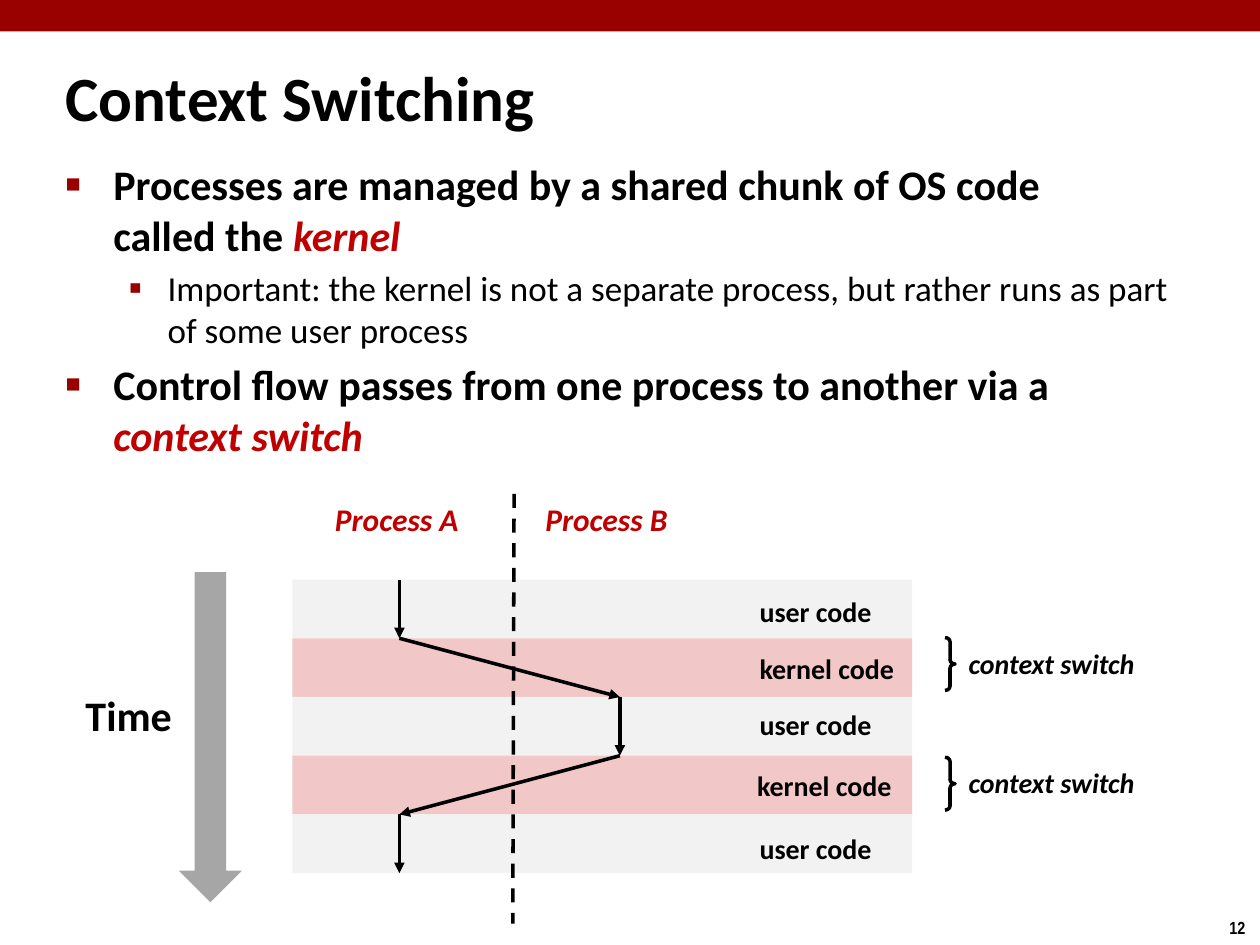
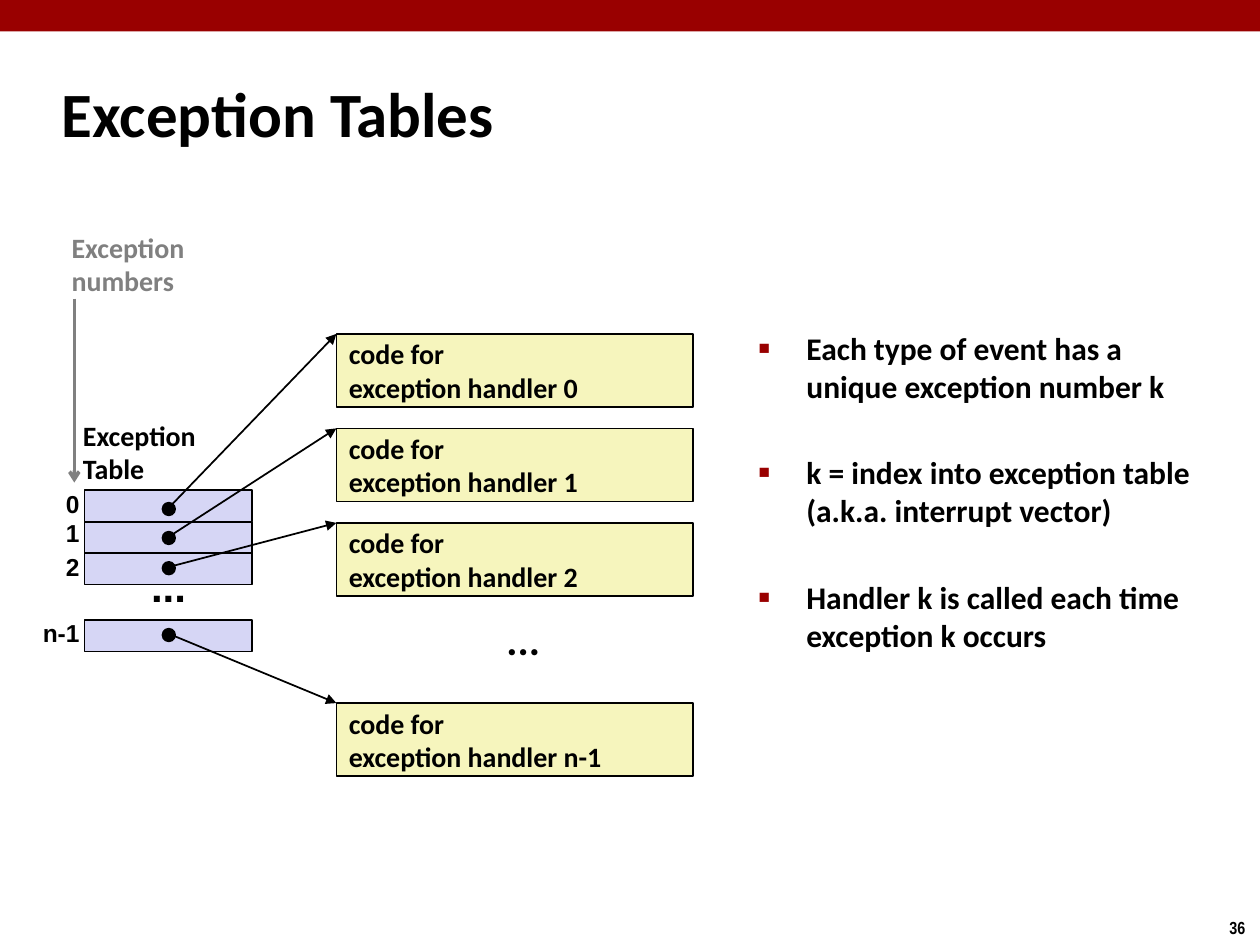
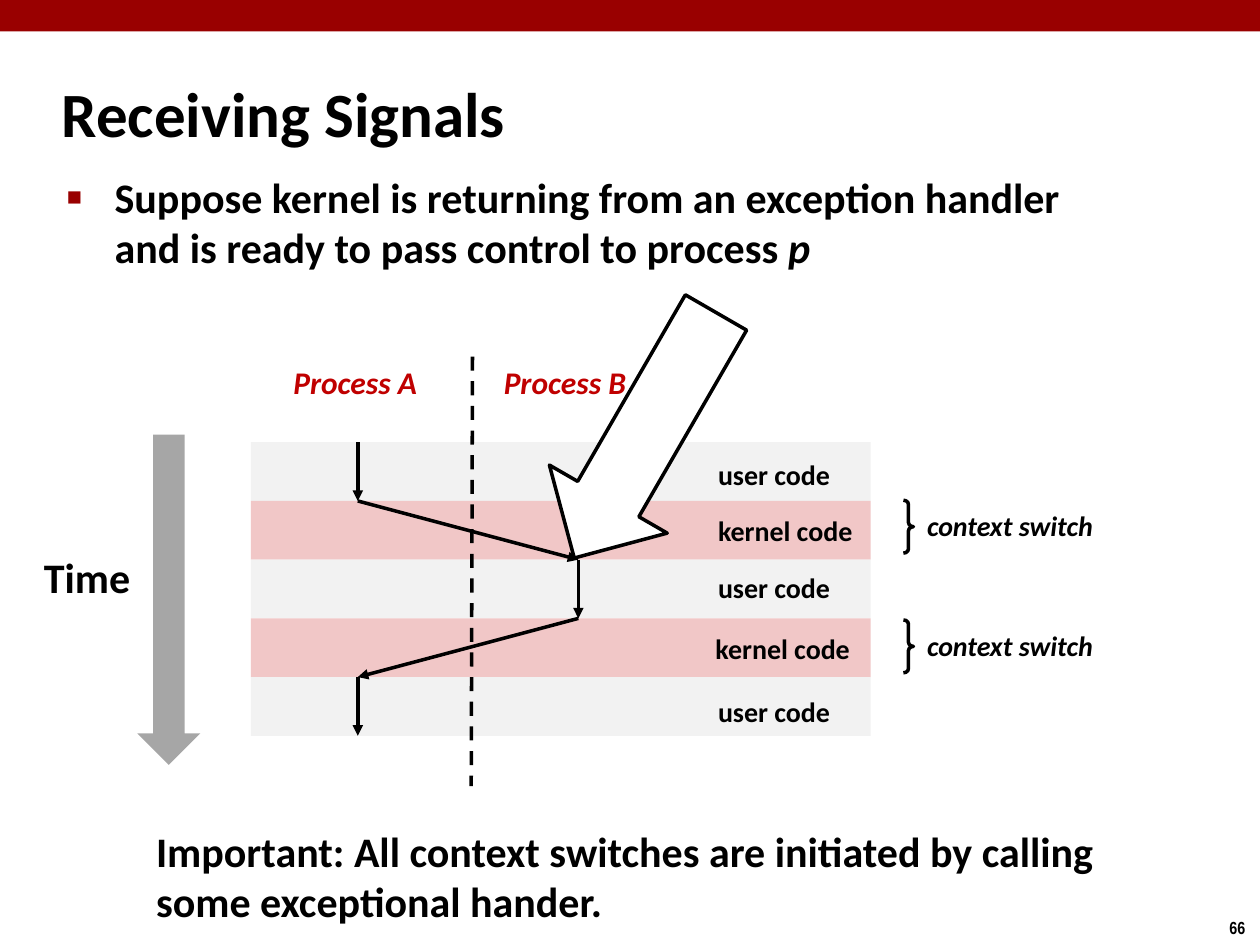
"""Build three slides on context switching, exception tables and signals."""
from dataclasses import dataclass
from itertools import pairwise

from lxml.etree import SubElement
from pptx import Presentation
from pptx.dml.color import RGBColor
from pptx.enum.dml import MSO_LINE
from pptx.enum.shapes import MSO_CONNECTOR, MSO_SHAPE as Preset
from pptx.enum.text import MSO_ANCHOR as Anchor, MSO_AUTO_SIZE, PP_ALIGN as Align
from pptx.oxml.ns import qn
from pptx.util import Inches, Pt

BLACK = RGBColor(0x00, 0x00, 0x00)
WHITE = RGBColor(0xFF, 0xFF, 0xFF)
CRIMSON = RGBColor(0x99, 0x00, 0x00)
RED = RGBColor(0xC0, 0x00, 0x00)
PINK = RGBColor(0xF1, 0xC7, 0xC7)
PALE_GRAY = RGBColor(0xF2, 0xF2, 0xF2)
TIME_GRAY = RGBColor(0xA6, 0xA6, 0xA6)
MID_GRAY = RGBColor(0x80, 0x80, 0x80)
LAVENDER = RGBColor(0xD6, 0xD6, 0xF5)
YELLOW = RGBColor(0xF6, 0xF5, 0xBD)

BODY_FONT = "Calibri"
INDEX_FONT = "Arial"
NUMBER_FONT = "Arial Narrow"


@dataclass
class Emphasis:
    text: str
    color: RGBColor = BLACK


@dataclass
class Item:
    runs: list
    level: int = 0


class Deck:
    def __init__(self):
        self.presentation = Presentation()
        self.presentation.slide_width = Inches(10)
        self.presentation.slide_height = Inches(7.5)
        self.slide = None

    def start_slide(self, heading, number, heading_box=(0.39, 0.48, 8.3, 0.83)):
        self.slide = self.presentation.slides.add_slide(self.presentation.slide_layouts[1])
        self.shape(Preset.RECTANGLE, 0, 0, 10, 0.25, CRIMSON)
        self.text(number, 9.66, 7.23, 0.34, 0.27, 10, font=NUMBER_FONT)
        title = self.slide.shapes.title
        self.place(title, *heading_box)
        frame = title.text_frame
        frame.auto_size = MSO_AUTO_SIZE.NONE
        frame.vertical_anchor = Anchor.MIDDLE
        frame.paragraphs[0].alignment = Align.LEFT
        self.add_run(frame.paragraphs[0], heading, 36)

    def place(self, shape, left, top, width, height):
        shape.left, shape.top = Inches(left), Inches(top)
        shape.width, shape.height = Inches(width), Inches(height)

    def add_run(self, paragraph, text, size, color=BLACK, bold=True, italic=False, font=BODY_FONT):
        run = paragraph.add_run()
        run.text = text
        run.font.name, run.font.size = font, Pt(size)
        run.font.bold, run.font.italic = bold, italic
        run.font.color.rgb = color

    def fill_frame(self, frame, text, size, align=Align.LEFT, **style):
        for position, line in enumerate(text.split("\n")):
            paragraph = frame.add_paragraph() if position else frame.paragraphs[0]
            paragraph.alignment = align
            self.add_run(paragraph, line, size, **style)

    def bullets(self, items, box, size=24, gap=None):
        body = self.slide.placeholders[1]
        self.place(body, *box)
        frame = body.text_frame
        frame.auto_size = MSO_AUTO_SIZE.NONE
        for position, item in enumerate(items):
            paragraph = frame.add_paragraph() if position else frame.paragraphs[0]
            paragraph.level = item.level
            item_size = size - 4 * item.level
            self.bullet(paragraph, item.level)
            paragraph.space_before = Pt((gap or 0.2 * item_size) if position else 0)
            for part in item.runs:
                if isinstance(part, Emphasis):
                    self.add_run(paragraph, part.text, item_size, part.color, italic=True)
                    continue
                for row, line in enumerate(part.split("\n")):
                    if row:
                        paragraph.add_line_break()
                    self.add_run(paragraph, line, item_size, bold=item.level == 0)

    def bullet(self, paragraph, level):
        margin, hang, mark, percent = [(0.38, 0.38, "■", 60), (0.81, 0.31, "▪", 110)][level]
        properties = paragraph._p.get_or_add_pPr()
        properties.set("marL", str(Inches(margin)))
        properties.set("indent", str(-Inches(hang)))
        color = SubElement(properties, qn("a:buClr"))
        SubElement(color, qn("a:srgbClr"), val=str(CRIMSON))
        SubElement(properties, qn("a:buSzPct"), val=str(percent * 1000))
        SubElement(properties, qn("a:buFont"), typeface=INDEX_FONT)
        SubElement(properties, qn("a:buChar"), char=mark)

    def text(self, text, left, top, width, height, size, wrap=False, anchor=Anchor.TOP, **style):
        box = self.slide.shapes.add_textbox(
            Inches(left), Inches(top), Inches(width), Inches(height))
        box.text_frame.word_wrap = wrap
        box.text_frame.vertical_anchor = anchor
        self.fill_frame(box.text_frame, text, size, **style)

    def shape(self, preset, left, top, width, height, fill=None, line_width=0):
        shape = self.slide.shapes.add_shape(
            preset, Inches(left), Inches(top), Inches(width), Inches(height))
        shape.shadow.inherit = False
        if fill is None:
            shape.fill.background()
        else:
            shape.fill.solid()
            shape.fill.fore_color.rgb = fill
        if line_width:
            shape.line.color.rgb = BLACK
            shape.line.width = Pt(line_width)
        else:
            shape.line.fill.background()
        return shape

    def line(self, start, end, width=2, color=BLACK, head="triangle", dashed=False):
        connector = self.slide.shapes.add_connector(
            MSO_CONNECTOR.STRAIGHT, *map(Inches, start), *map(Inches, end))
        connector.line.color.rgb = color
        connector.line.width = Pt(width)
        if dashed:
            connector.line.dash_style = MSO_LINE.DASH
        properties = connector._element.spPr
        if head:
            SubElement(properties.find(qn("a:ln")), qn("a:tailEnd"), type=head)
        SubElement(properties, qn("a:effectLst"))

    def process_diagram(self, left, top):
        band = 2.33 / 5
        label_offsets = [(3.61, 0.07), (3.61, 0.52), (3.61, 0.97), (3.59, 1.45), (3.61, 1.95)]
        for row in range(5):
            self.shape(Preset.RECTANGLE, left, top + row * band, 4.92, band,
                       PINK if row % 2 else PALE_GRAY)
        for process, offset in (("Process A", 0.24), ("Process B", 1.91)):
            self.text(process, left + offset, top - 0.68, 1.2, 0.4, 18, color=RED, italic=True)
        self.line((left + 1.76, top - 0.68), (left + 1.75, top + 2.73), head=None, dashed=True)
        for row, (across, down) in enumerate(label_offsets):
            self.text("kernel code" if row % 2 else "user code",
                      left + across, top + down, 1.28, 0.37, 16)
        for down in (0.46, 1.41):
            brace = self.shape(Preset.RIGHT_BRACE, left + 5.18, top + down, 0.08, 0.42,
                               line_width=2)
            brace.adjustments[0] = 0.42
            self.text("context switch", left + 5.27, top + down + 0.02, 1.54, 0.37, 16,
                      italic=True)
        self.text("Time", left - 1.74, top + 0.82, 0.89, 0.5, 24)
        self.shape(Preset.DOWN_ARROW, left - 0.9, top - 0.06, 0.5, 2.62, TIME_GRAY)
        lane_a, lane_b = left + 0.85, left + 2.6
        lanes = [lane_a, lane_a, lane_b, lane_b, lane_a, lane_a]
        for start, end in pairwise((lane, top + row * band) for row, lane in enumerate(lanes)):
            self.line(start, end)


def context_switching(deck):
    deck.start_slide("Context Switching", "12", (0.42, 0.45, 6.39, 0.63))
    deck.bullets([
        Item(["Processes are managed by a shared chunk of OS code\ncalled the ",
              Emphasis("kernel", RED)]),
        Item(["Important: the kernel is not a separate process, but rather runs as part "
              "of some user process"], level=1),
        Item(["Control flow passes from one process to another via a ",
              Emphasis("context switch", RED)]),
    ], (0.42, 1.21, 9.07, 2.79))
    deck.process_diagram(2.32, 4.6)


def exception_tables(deck):
    deck.start_slide("Exception Tables", "36")
    deck.bullets([
        Item(["Each type of event has a\nunique exception number k"]),
        Item(["k = index into exception table\n(a.k.a. interrupt vector)"]),
        Item(["Handler k is called each time\nexception k occurs"]),
    ], (5.92, 2.56, 3.92, 2.83), size=18, gap=28)
    entries = [
        ("0", 3.89, 3.83, 3.99, 2.65),
        ("1", 4.14, 4.06, 4.22, 3.4),
        ("2", 4.39, 4.33, 4.46, 4.15),
        ("n-1", 4.92, 4.86, 4.99, 5.58),
    ]
    for index, entry_top, index_top, dot_top, handler_top in entries:
        deck.shape(Preset.RECTANGLE, 0.67, entry_top, 1.33, 0.25, LAVENDER, 1)
        deck.text(index, 0.24, index_top, 0.49, 0.33, 14, anchor=Anchor.MIDDLE,
                  align=Align.RIGHT, font=INDEX_FONT)
        deck.shape(Preset.OVAL, 1.29, dot_top, 0.1, 0.1, BLACK, 1)
        handler = deck.shape(Preset.RECTANGLE, 2.67, handler_top, 2.83, 0.58, YELLOW, 0.75)
        handler.text_frame.vertical_anchor = Anchor.MIDDLE
        deck.fill_frame(handler.text_frame, f"code for\nexception handler {index}", 16)
    for _, _, _, dot_top, handler_top in entries:
        deck.line((1.34, dot_top + 0.04), (2.67, handler_top), width=1)
    deck.text("...", 1.1, 4.4, 0.48, 0.5, 24, anchor=Anchor.MIDDLE, font=INDEX_FONT)
    deck.text("...", 3.92, 4.82, 0.48, 0.5, 24, anchor=Anchor.MIDDLE)
    deck.text("Exception\nTable", 0.56, 3.27, 1.11, 0.64, 16)
    deck.text("Exception\nnumbers", 0.47, 1.78, 1.16, 0.64, 16, color=MID_GRAY)
    deck.line((0.59, 2.37), (0.59, 3.83), color=MID_GRAY, head="arrow")


def receiving_signals(deck):
    deck.start_slide("Receiving Signals", "66")
    deck.bullets([
        Item(["Suppose kernel is returning from an exception handler and is ready to pass "
              "control to process ", Emphasis("p")]),
    ], (0.43, 1.31, 8.64, 1.19))
    deck.process_diagram(1.99, 3.51)
    pointer = deck.shape(Preset.DOWN_ARROW, 4.58, 2.33, 1.08, 2.25, WHITE, 2)
    pointer.adjustments[0] = 0.52
    pointer.rotation = 30
    deck.text("Important: All context switches are initiated by calling some exceptional hander.",
              1.14, 6.5, 8.19, 0.91, 24, wrap=True)


def main():
    deck = Deck()
    context_switching(deck)
    exception_tables(deck)
    receiving_signals(deck)
    deck.presentation.save("out.pptx")


if __name__ == "__main__":
    main()
